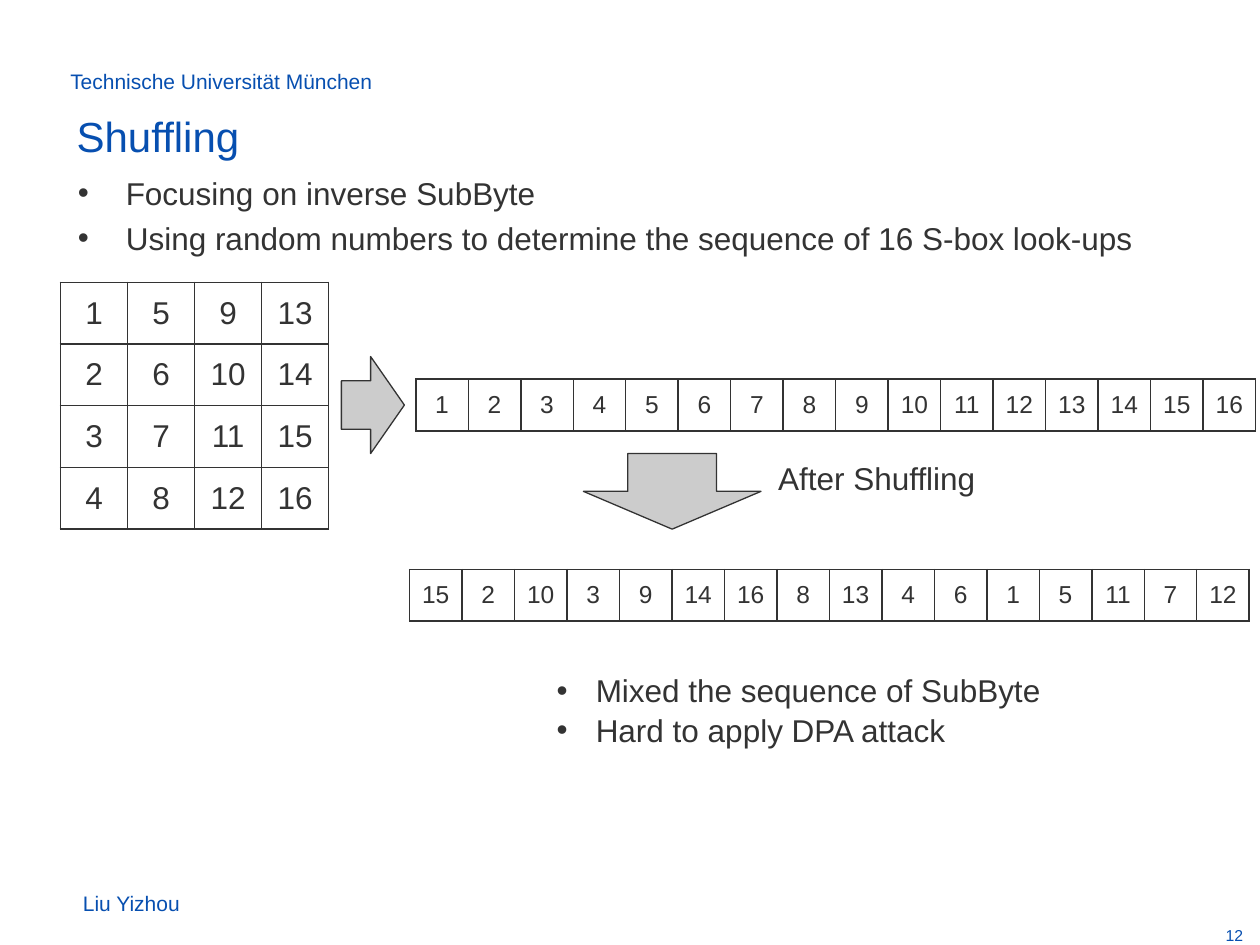
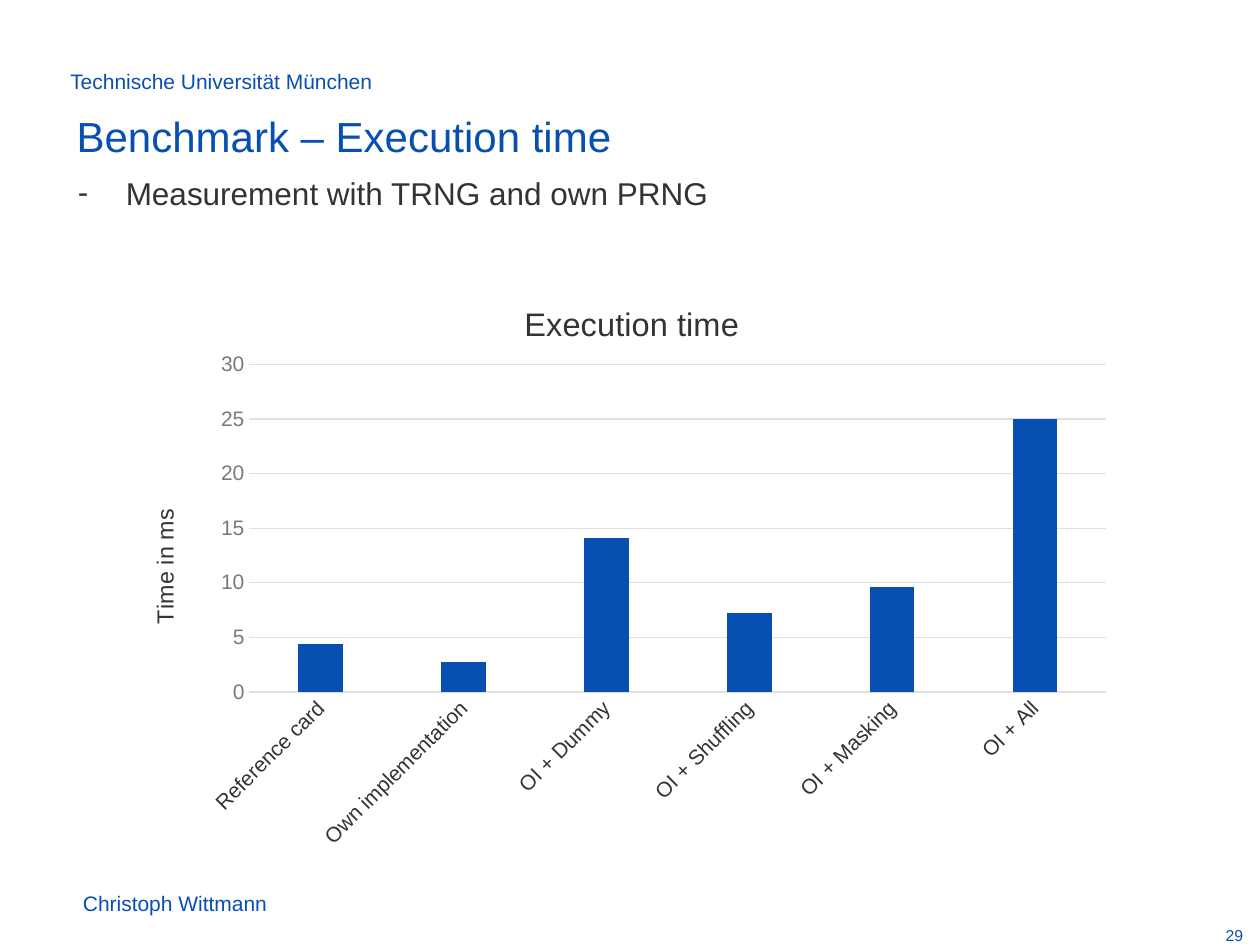
import dataclasses

import pptx
import pptx.chart.data
import pptx.dml.color
import pptx.enum.chart
import pptx.enum.shapes
import pptx.enum.text
import pptx.oxml
import pptx.oxml.ns
import pptx.util

Align = pptx.enum.text.PP_ALIGN
Anchor = pptx.enum.text.MSO_ANCHOR
Shape = pptx.enum.shapes.MSO_SHAPE
Tick = pptx.enum.chart.XL_TICK_MARK
Pt = pptx.util.Pt
qn = pptx.oxml.ns.qn
SCALE = 9144


@dataclasses.dataclass(frozen=True)
class Theme:
    """Colours, font and type sizes of the deck."""
    font: str = "Arial"
    blue: str = "074FB0"
    ink: str = "333333"
    label: str = "7A7A7A"
    arrow: str = "CCCCCC"
    grid: str = "E0E0E0"
    paper: str = "FFFFFF"
    title: float = 24
    body: float = 18
    cell: float = 14
    small: float = 12
    page: float = 9
    head: float = 18.6
    axis: float = 13.3
    thin: float = 0.75


THEME = Theme()


def px(*marks):
    """Turn px lengths into EMU."""
    return [pptx.util.Emu(round(mark * SCALE)) for mark in marks]


def shade(text):
    """Return a colour from its hex digits."""
    return pptx.dml.color.RGBColor.from_string(text)


def xml(tag, inner="", **attrs):
    """Build one drawing or chart element."""
    pairs = "".join(f' {key}="{value}"' for key, value in attrs.items())
    spaces = pptx.oxml.ns.nsdecls("a", "c")
    return pptx.oxml.parse_xml(f"<{tag} {spaces}{pairs}>{inner}</{tag}>")


def style(font, size, color):
    """Set the face, size and colour of a font."""
    font.name, font.size, font.bold = THEME.font, Pt(size), False
    font.color.rgb = shade(color)


def write(para, text, size, color):
    """Add one styled run to a paragraph."""
    run = para.add_run()
    run.text = text
    style(run.font, size, color)


def stroke(line, color):
    """Draw a thin line in one colour."""
    line.color.rgb = shade(color)
    line.width = Pt(THEME.thin)


def label(slide, box, lines, size, color, anchor=Anchor.TOP, align=Align.LEFT,
          wrap=True, mark=None, indent=0, gap=0):
    """Place lines of text in a box, with bullets if a mark is given."""
    frame = slide.shapes.add_textbox(*px(*box)).text_frame
    frame.word_wrap, frame.vertical_anchor = wrap, anchor
    for row, text in enumerate(lines):
        para = frame.add_paragraph() if row else frame.paragraphs[0]
        para.alignment, para.space_before = align, Pt(gap)
        write(para, text, size, color)
        if mark:
            props = para._p.get_or_add_pPr()
            step, = px(indent)
            props.set("marL", str(step))
            props.set("indent", str(-step))
            props.append(xml("a:buFont", typeface=THEME.font))
            props.append(xml("a:buChar", char=mark))


def page(deck, title, author, number):
    """Add a slide with its header, title, author and number."""
    slide = deck.slides.add_slide(deck.slide_layouts[6])
    blue, small = THEME.blue, THEME.small
    label(slide, (46, 49, 267, 30), ["Technische Universität München"],
          small, blue, Anchor.BOTTOM)
    label(slide, (51, 83, 899, 41), [title], THEME.title, blue)
    label(slide, (56, 700, 613, 33), [author], small, blue, Anchor.MIDDLE)
    label(slide, (963, 730, 37, 20), [number], THEME.page, blue)
    return slide


def points(slide, box, lines, mark):
    """Place the main bullet points."""
    label(slide, box, lines, THEME.body, THEME.ink, mark=mark, indent=38, gap=4.3)


def grid(slide, box, rows, size):
    """Place a bordered table with equal cells."""
    left, top, width, height = box
    count = len(rows[0])
    table = slide.shapes.add_table(len(rows), count, *px(*box)).table
    table.first_row = table.horz_banding = False
    for col in table.columns:
        col.width, = px(width / count)
    for line, row in zip(table.rows, rows):
        line.height, = px(height / len(rows))
        for cell, value in zip(line.cells, row):
            cell.margin_left = cell.margin_right = 0
            cell.vertical_anchor = Anchor.MIDDLE
            cell.fill.solid()
            cell.fill.fore_color.rgb = shade(THEME.paper)
            para = cell.text_frame.paragraphs[0]
            para.alignment = Align.CENTER
            write(para, str(value), size, THEME.ink)
            fill = f'<a:solidFill><a:srgbClr val="{THEME.ink}"/></a:solidFill>'
            for spot, side in enumerate("LRTB"):
                edge = xml(f"a:ln{side}", fill, w=Pt(1))
                cell._tc.get_or_add_tcPr().insert(spot, edge)


def arrow(slide, kind, box, head=0.5):
    """Place a grey block arrow."""
    shape = slide.shapes.add_shape(kind, *px(*box))
    shape.shadow.inherit = False
    shape.adjustments[1] = head
    shape.fill.solid()
    shape.fill.fore_color.rgb = shade(THEME.arrow)
    stroke(shape.line, THEME.ink)


def shuffle(slide, box):
    """Show the byte grid, its flat row and the shuffled row."""
    left, top, width, height = box
    square = [range(row, 17, 4) for row in range(1, 5)]
    mixed = [15, 2, 10, 3, 9, 14, 16, 8, 13, 4, 6, 1, 5, 11, 7, 12]
    grid(slide, (left, top, 213, 196), square, THEME.body)
    arrow(slide, Shape.RIGHT_ARROW, (left + 223, top + 59, 50, 77), 0.536)
    grid(slide, (left + 282, top + 77, 667, 41), [range(1, 17)], THEME.cell)
    arrow(slide, Shape.DOWN_ARROW, (left + 415, top + 136, 141, 60))
    label(slide, (left + 556, top + 135, 180, 40), ["After Shuffling"],
          THEME.body, THEME.ink, align=Align.RIGHT, wrap=False)
    grid(slide, (left + 277, top + 228, 667, 41), [mixed], THEME.cell)
    label(slide, (left + 384, top + 304, 435, 71),
          ["Mixed the sequence of SubByte", "Hard to apply DPA attack"],
          THEME.body, THEME.ink, align=Align.JUSTIFY, mark="•", indent=31, gap=1)


def pin(node, spot, **marks):
    """Fix the layout of a chart part, as shares of the chart."""
    for old in node.findall(qn("c:layout")):
        node.remove(old)
    inner = '<c:layoutTarget val="inner"/>' if "w" in marks else ""
    inner += "".join(f'<c:{key}Mode val="edge"/>' for key in "xy")
    inner += "".join(f'<c:{key} val="{value}"/>' for key, value in marks.items())
    node.insert(spot, xml("c:layout", f"<c:manualLayout>{inner}</c:manualLayout>"))


def caption(title, text, size, x, y):
    """Write a chart or axis title at a fixed place."""
    write(title.text_frame.paragraphs[0], text, size, THEME.ink)
    pin(title._element, 1, x=x, y=y)


def bars(slide, box):
    """Show the execution times as columns."""
    data = pptx.chart.data.CategoryChartData()
    data.categories = ["Reference card", "Own implementation", "OI + Dummy",
                       "OI + Shuffling", "OI + Masking", "OI + All"]
    data.add_series("Series 1", [4.4, 2.7, 14.1, 7.2, 9.6, 25])
    kind = pptx.enum.chart.XL_CHART_TYPE.COLUMN_CLUSTERED
    chart = slide.shapes.add_chart(kind, *px(*box), data).chart
    style(chart.font, 10, THEME.ink)
    chart.has_legend, chart.has_title = False, True
    caption(chart.chart_title, "Execution time", THEME.head, 0.39, 0.05)

    plot = chart.plots[0]
    plot.vary_by_categories = False
    plot.gap_width, plot.overlap = 219, -27
    fill = plot.series[0].format.fill
    fill.solid()
    fill.fore_color.rgb = shade(THEME.blue)
    pin(chart._chartSpace.find(".//" + qn("c:plotArea")), 0,
        x=0.12, y=0.164, w=0.86, h=0.552)

    cats, vals = chart.category_axis, chart.value_axis
    for axis, color in ((cats, THEME.ink), (vals, THEME.label)):
        axis.major_tick_mark = axis.minor_tick_mark = Tick.NONE
        style(axis.tick_labels.font, THEME.small, color)
    stroke(cats.format.line, THEME.grid)
    turn = cats._element.find(qn("c:txPr")).find(qn("a:bodyPr"))
    turn.set("rot", "-2700000")
    turn.set("vert", "horz")
    vals.minimum_scale, vals.maximum_scale, vals.major_unit = 0, 30, 5
    vals.format.line.fill.background()
    vals.has_major_gridlines = vals.has_title = True
    stroke(vals.major_gridlines.format.line, THEME.grid)
    caption(vals.axis_title, "Time in ms", THEME.axis, 0.016, 0.4)
    side = vals.axis_title._element.find(".//" + qn("a:bodyPr"))
    side.set("rot", "-5400000")
    side.set("vert", "horz")


def main():
    """Build both slides and save the deck."""
    deck = pptx.Presentation()
    deck.slide_width, deck.slide_height = px(1000, 750)

    slide = page(deck, "Shuffling", "Liu Yizhou", "12")
    points(slide, (52, 133, 895, 133),
           ["Focusing on inverse SubByte",
            "Using random numbers to determine the sequence of 16 S-box look-ups"], "•")
    shuffle(slide, (48, 224, 949, 375))

    slide = page(deck, "Benchmark – Execution time", "Christoph Wittmann", "29")
    points(slide, (52, 133, 895, 549), ["Measurement with TRNG and own PRNG"], "-")
    bars(slide, (103, 212, 791, 471))

    deck.save("out.pptx")


if __name__ == "__main__":
    main()
